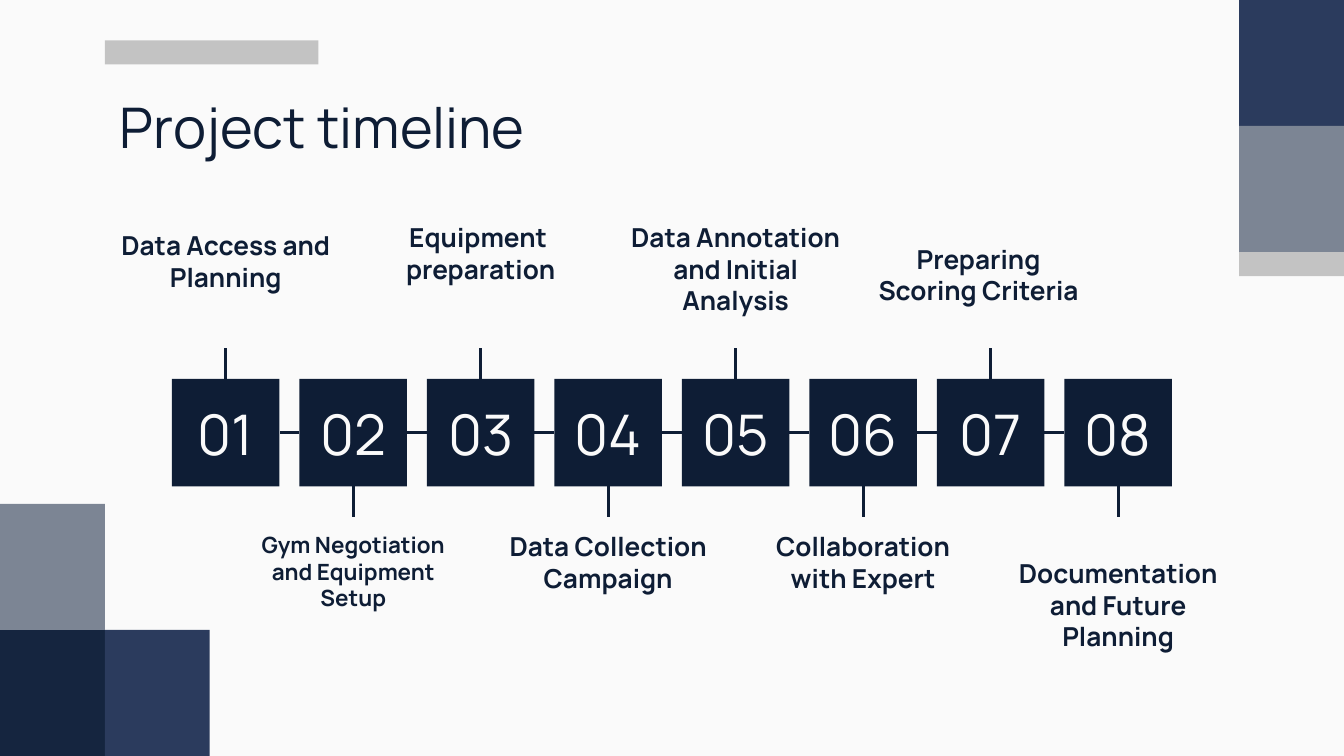
"""Build the project timeline slide."""
from lxml import etree
from pptx import Presentation, util as u
from pptx.dml.color import RGBColor
from pptx.enum import shapes, text as t
from pptx.oxml import ns

NAVY = RGBColor(0x0E, 0x1D, 0x35)
DARK = RGBColor(0x15, 0x25, 0x3F)
BLUE = RGBColor(0x2B, 0x3B, 0x5D)
SLATE = RGBColor(0x7C, 0x85, 0x94)
GREY = RGBColor(0xC3, 0xC3, 0xC3)
PALE = RGBColor(0xFA, 0xFA, 0xFA)
FONT = "Manrope"

WIDTH = 10
HEIGHT = WIDTH * 9 / 16
BLOCK_W, BLOCK_H = 0.78, HEIGHT / 6
BAR_H = 0.18
TILE, TILE_TOP = 0.8, 2.82
TICK = 0.23
FIRST_CENTER, LAST_CENTER = 1.68, 8.32
LABEL_W = 1.81

STEPS = [
    ("Data Access and Planning", 1.61, 14, 0),
    ("Gym Negotiation and Equipment Setup", 3.85, 12, 0),
    ("Equipment \npreparation", 1.55, 14, 0),
    ("Data Collection Campaign", 3.85, 14, 0),
    ("Data Annotation and Initial Analysis", 1.55, 14, 0),
    ("Collaboration with Expert", 3.85, 14, 0),
    ("Preparing Scoring Criteria", 1.71, 14, -0.09),
    ("Documentation and Future Planning", 4.05, 14, 0),
]


def write(shape, text, size=14, color=NAVY, bold=False,
          align=t.PP_ALIGN.CENTER, anchor=t.MSO_ANCHOR.TOP):
    """Fill a shape with formatted text, one paragraph a line."""
    frame = shape.text_frame
    frame.word_wrap = True
    frame.auto_size = t.MSO_AUTO_SIZE.NONE
    frame.vertical_anchor = anchor
    frame.margin_left = frame.margin_right = u.Inches(0.1)
    frame.margin_top = frame.margin_bottom = u.Inches(0.1)
    for number, line in enumerate(text.split("\n")):
        para = frame.add_paragraph() if number else frame.paragraphs[0]
        para.alignment = align
        span = para.add_run()
        span.text = line
        span.font.name = FONT
        span.font.size = u.Pt(size)
        span.font.bold = bold
        span.font.color.rgb = color


class Timeline:
    """Hold the style and the current page."""

    def __init__(self, page):
        self.page = page
        page.background.fill.solid()
        page.background.fill.fore_color.rgb = PALE

    def title(self, text, left, top, width, height):
        box = self.page.shapes.title
        box.left, box.top = u.Inches(left), u.Inches(top)
        box.width, box.height = u.Inches(width), u.Inches(height)
        write(box, text, size=30, align=t.PP_ALIGN.LEFT)

    def rectangle(self, left, top, width, height, color):
        box = self.page.shapes.add_shape(
            shapes.MSO_SHAPE.RECTANGLE, u.Inches(left), u.Inches(top),
            u.Inches(width), u.Inches(height))
        box.shadow.inherit = False
        box.fill.solid()
        box.fill.fore_color.rgb = color
        box.line.fill.background()
        return box

    def tile(self, center, number):
        box = self.rectangle(center - TILE / 2, TILE_TOP, TILE, TILE, NAVY)
        write(box, f"{number:02}", size=30, color=PALE, anchor=t.MSO_ANCHOR.MIDDLE)
        return box

    def label(self, text, center, top, size):
        box = self.page.shapes.add_textbox(
            u.Inches(center - LABEL_W / 2), u.Inches(top),
            u.Inches(LABEL_W), u.Inches(1))
        write(box, text, size=size, bold=True)

    def line(self, x=0, y=0, end_y=0):
        link = self.page.shapes.add_connector(
            shapes.MSO_CONNECTOR.STRAIGHT, u.Inches(x), u.Inches(y),
            u.Inches(x), u.Inches(end_y))
        link.line.color.rgb = NAVY
        link.line.width = u.Pt(1.5)
        etree.SubElement(link._element.spPr, ns.qn("a:effectLst"))
        return link

    def tick(self, tile, center, above):
        start = TILE_TOP if above else TILE_TOP + TILE
        end = start - TICK if above else start + TICK
        self.line(center, start, end).begin_connect(tile, 0 if above else 2)

    def join(self, before, after):
        link = self.line()
        link.begin_connect(after, 1)
        link.end_connect(before, 3)


def main():
    deck = Presentation()
    deck.slide_width, deck.slide_height = u.Inches(WIDTH), u.Inches(HEIGHT)
    timeline = Timeline(deck.slides.add_slide(deck.slide_layouts[5]))

    right = WIDTH - BLOCK_W
    for left, row, color in [(0, 5, DARK), (0, 4, SLATE), (BLOCK_W, 5, BLUE),
                             (right, 0, BLUE), (right, 1, SLATE)]:
        timeline.rectangle(left, row * BLOCK_H, BLOCK_W, BLOCK_H, color)
    timeline.rectangle(right, 2 * BLOCK_H, BLOCK_W, BAR_H, GREY)
    timeline.rectangle(BLOCK_W, 0.3, 1.59, BAR_H, GREY)
    timeline.title("Project timeline", 0.79, 0.59, 8.43, 0.63)

    pitch = (LAST_CENTER - FIRST_CENTER) / (len(STEPS) - 1)
    previous = None
    for index, (text, top, size, shift) in enumerate(STEPS):
        center = FIRST_CENTER + index * pitch
        timeline.label(text, center + shift, top, size)
        tile = timeline.tile(center, index + 1)
        timeline.tick(tile, center, above=index % 2 == 0)
        if previous is not None:
            timeline.join(previous, tile)
        previous = tile

    deck.save("out.pptx")


if __name__ == "__main__":
    main()
